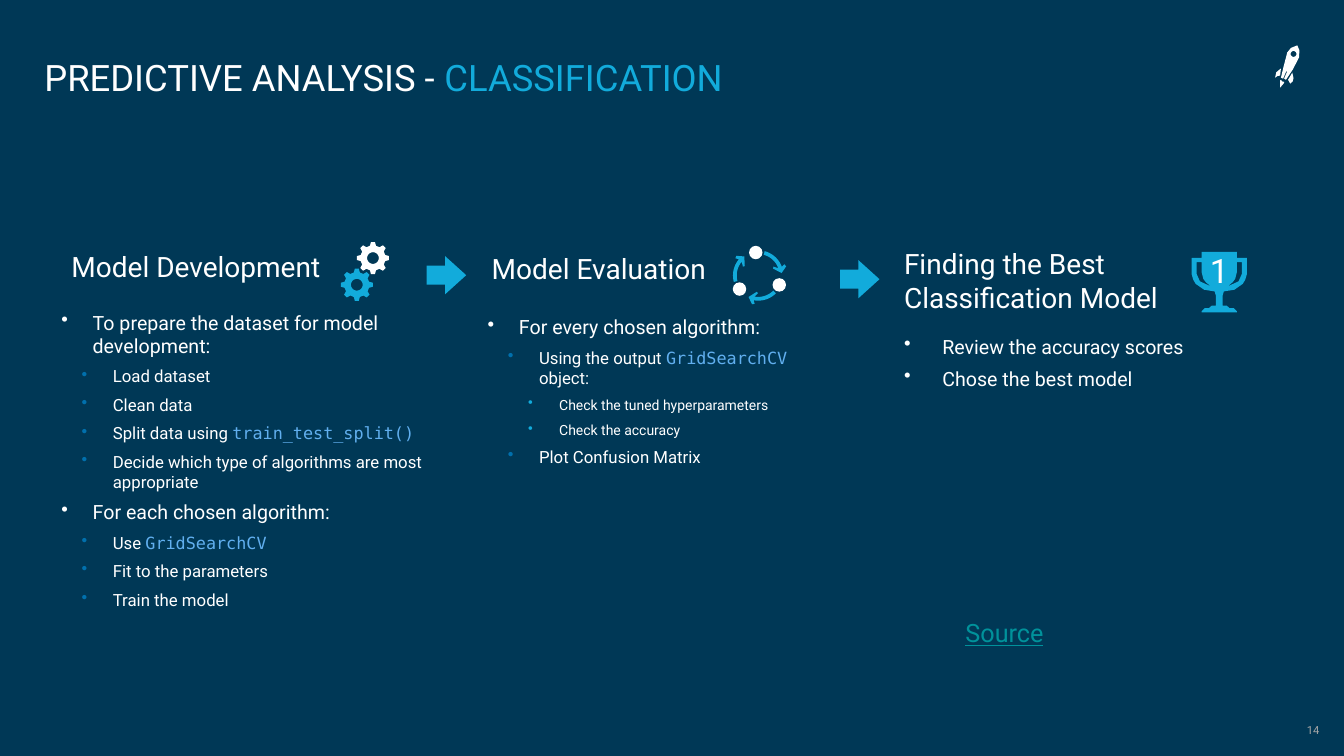
from math import cos, sin, radians
from lxml.etree import SubElement
from pptx import Presentation
from pptx.dml.color import RGBColor
from pptx.enum.shapes import MSO_SHAPE as Preset
from pptx.enum.text import MSO_ANCHOR as Anchor, PP_ALIGN as Align
from pptx.oxml.ns import qn
from pptx.util import Inches, Pt

COLORS = {
    "navy": "003856", "white": "FFFFFF", "sky": "12ABDB", "blue": "0070AD",
    "code": "61AFEF", "teal": "00929B", "grey": "A6A6A6",
}

presentation = Presentation()
presentation.slide_width = Inches(13.3333)
presentation.slide_height = Inches(7.5)
unit = presentation.slide_height / 90
slide = presentation.slides.add_slide(presentation.slide_layouts[6])
slide.background.fill.solid()
slide.background.fill.fore_color.rgb = RGBColor.from_string(COLORS["navy"])


def paint(shape, color):
    shape.shadow.inherit = False
    shape.fill.solid()
    shape.fill.fore_color.rgb = RGBColor.from_string(COLORS[color])
    shape.line.fill.background()
    return shape


def arc(center, radius, start, stop, step):
    return [
        (center[0] + radius * cos(radians(angle)), center[1] + radius * sin(radians(angle)))
        for angle in range(start, stop, step)
    ]


rocket = [
    [(152.4, 10.44), (152.4, 9.6), (152.5, 9.5), (152.65, 9.7), (152.9, 9.75), (152.85, 9.9)],
    [(153.6, 9.95), (153.35, 9.5), (153.85, 8.65), (154, 9.3), (153.9, 9.7)],
    [(151.8, 9.25), (151.95, 8.6), (152.5, 8.15), (152.4, 9), (152.1, 9.05)],
    [(152.88, 9.36), (153.24, 8.52), (153.12, 8.5), (152.76, 9.36), (152.5, 9.25),
     (152.8, 8), (153.25, 6.25), (153.7, 5.7), (154.45, 5.4), (154.7, 6),
     (154.65, 6.85), (153.9, 8.3), (153.1, 9.5)],
    arc((154, 6.42), 0.35, 0, 360, 20),
]
outlines = [(rocket, "white")]

for center, color in [((44.4, 30.72), "white"), ((42.48, 33.9), "sky")]:
    teeth = []
    for angle in range(0, 360, 45):
        for offset, radius in [(-14, 1.5), (-7, 1.92), (7, 1.92), (14, 1.5)]:
            teeth += arc(center, radius, angle + offset, angle + offset + 1, 1)
    outlines.append(([teeth, arc(center, 0.7, 0, 360, 15)], color))

cycle = (90.26, 32.8)
arrow_head = [(-23, 3.4), (-18, 3.5), (-6, 2.8), (-25, 1.95), (-30, 2.1)]
for turn in range(0, 360, 120):
    arrow = arc(cycle, 3, turn - 75, turn - 19, 5)
    for angle, radius in arrow_head:
        arrow += arc(cycle, radius, turn + angle, turn + angle + 1, 1)
    arrow += arc(cycle, 2.55, turn - 20, turn - 76, -5)
    outlines.append(([arrow], "sky"))
    x, y = arc(cycle, 2.75, turn - 96, turn - 95, 1)[0]
    paint(slide.shapes.add_shape(
        Preset.OVAL, int((x - 0.8) * unit), int((y - 0.8) * unit),
        int(1.6 * unit), int(1.6 * unit)), "white")

cup_side = [
    (2.1, 0), (2.1, 0.7), (3.3, 0.7), (3.3, 2.6), (3.1, 3.3), (2.8, 3.8), (1.8, 4.5),
    (0.55, 4.7), (0.4, 5.2), (0.4, 6.4), (0.9, 6.4), (1.25, 6.7), (1.75, 6.7),
    (2.1, 7.05), (2.1, 7.2),
]
handle = [(2.1, 1.2), (2.7, 1.2), (2.7, 2.6), (2.3, 3.5), (1, 4.1), (1.6, 3.6),
          (1.9, 3.2), (2.1, 2.4)]
right_cup, right_handle, left_cup, left_handle = [
    [(145.15 + side * x, 30 + y) for x, y in half]
    for side in (1, -1) for half in (cup_side, handle)
]
outlines.append(([right_cup + left_cup[::-1], right_handle, left_handle], "sky"))

for contours, color in outlines:
    scaled = [[(x * unit, y * unit) for x, y in contour] for contour in contours]
    builder = slide.shapes.build_freeform(*scaled[0][0], scale=1.0)
    builder.add_line_segments(scaled[0][1:], close=True)
    for contour in scaled[1:]:
        builder.move_to(*contour[0])
        builder.add_line_segments(contour[1:], close=True)
    trophy = paint(builder.convert_to_shape(), color)

for left, top in [(50.8, 30.48), (100, 30.96)]:
    step_arrow = paint(slide.shapes.add_shape(
        Preset.RIGHT_ARROW, int(left * unit), int(top * unit),
        int(4.7 * unit), int(4.56 * unit)), "sky")
    step_arrow.adjustments[1] = 0.553

STYLES = {
    "title": (26, 0, 0, 0, None, Align.LEFT),
    "heading": (20, 0, 0, 0, None, Align.LEFT),
    "link": (18, 0, 0, 0, None, Align.LEFT),
    "number": (8, 0, 0, 0, None, Align.RIGHT),
    "rank": (24, 0, 0, 0, None, Align.CENTER),
    "point": (14, 0, 0.31, 0.31, "white", Align.LEFT),
    "wide point": (14, 0, 0.38, 0.38, "white", Align.LEFT),
    "detail": (12, 1, 0.51, 0.31, "blue", Align.LEFT),
    "check": (10, 2, 0.71, 0.31, "sky", Align.LEFT),
}
FLUSH = (0, 0, 0, 0)
PADDED = (0.1, 0.05, 0.1, 0.05)
texts = [
    ((5.28, 2.52, 143.64, 9.36), Anchor.BOTTOM, FLUSH, [
        ("title", [("PREDICTIVE ANALYSIS - ", "white"), ("CLASSIFICATION", "sky")])]),
    ((7.32, 27.12, 45.36, 9.24), Anchor.MIDDLE, PADDED, [
        ("heading", [("Model Development", "white")])]),
    ((7.32, 36.96, 43.56, 44.64), Anchor.TOP, FLUSH, [
        ("point", [("To prepare the dataset for model development:", "white")]),
        ("detail", [("Load dataset", "white")]),
        ("detail", [("Clean data", "white")]),
        ("detail", [("Split data using ", "white"), ("train_test_split()", "code")]),
        ("detail", [("Decide which type of algorithms are most appropriate", "white")]),
        ("point", [("For each chosen algorithm:", "white")]),
        ("detail", [("Use ", "white"), ("GridSearchCV", "code")]),
        ("detail", [("Fit to the parameters", "white")]),
        ("detail", [("Train the model", "white")])]),
    ((57.36, 27.84, 33.48, 8.28), Anchor.MIDDLE, PADDED, [
        ("heading", [("Model Evaluation", "white")])]),
    ((56.88, 36.96, 42.48, 45.12), Anchor.TOP, PADDED, [
        ("point", [("For every chosen algorithm:", "white")]),
        ("detail", [("Using the output ", "white"), ("GridSearchCV", "code"),
                    (" object:", "white")]),
        ("check", [("Check the tuned hyperparameters", "white")]),
        ("check", [("Check the accuracy", "white")]),
        ("detail", [("Plot Confusion Matrix", "white")])]),
    ((106.44, 28.8, 45.36, 9.48), Anchor.TOP, PADDED, [
        ("heading", [("Finding the Best Classification Model", "white")])]),
    ((106.44, 39.24, 40.56, 45.12), Anchor.TOP, PADDED, [
        ("wide point", [("Review the accuracy scores", "white")]),
        ("wide point", [("Chose the best model", "white")])]),
    ((113.76, 72.96, 16.08, 4.8), Anchor.TOP, PADDED, [("link", [("Source", "teal")])]),
    ((154.08, 85.56, 3, 2.88), Anchor.TOP, (0, 0.05, 0, 0.05), [
        ("number", [("14", "grey")])]),
    (None, Anchor.MIDDLE, (0, 0, 0, 0.24), [("rank", [("1", "white")])]),
]

for place, anchor, margins, paragraphs in texts:
    if place:
        holder = slide.shapes.add_textbox(*[int(length * unit) for length in place])
    else:
        holder = trophy
    frame = holder.text_frame
    frame.word_wrap = True
    frame.vertical_anchor = anchor
    frame.margin_left, frame.margin_top, frame.margin_right, frame.margin_bottom = [
        Inches(margin) for margin in margins]
    for index, (style, runs) in enumerate(paragraphs):
        size, level, indent, hanging, bullet, align = STYLES[style]
        paragraph = frame.add_paragraph() if index else frame.paragraphs[0]
        paragraph.level = level
        paragraph.alignment = align
        paragraph.line_spacing = 0.9 if style == "title" else 1.0
        if bullet or style == "heading":
            paragraph.space_after = Pt(6)
        if bullet:
            properties = paragraph._p.get_or_add_pPr()
            properties.set("marL", str(Inches(indent)))
            properties.set("indent", str(-Inches(hanging)))
            bullet_color = SubElement(properties, qn("a:buClr"))
            SubElement(bullet_color, qn("a:srgbClr"), val=COLORS[bullet])
            SubElement(properties, qn("a:buChar"), char="•")
        for text, color in runs:
            run = paragraph.add_run()
            run.text = text
            run.font.size = Pt(size)
            run.font.name = "DejaVu Sans Mono" if color == "code" else "Roboto"
            run.font.color.rgb = RGBColor.from_string(COLORS[color])
            if style == "link":
                run.font.underline = True

presentation.save("out.pptx")
